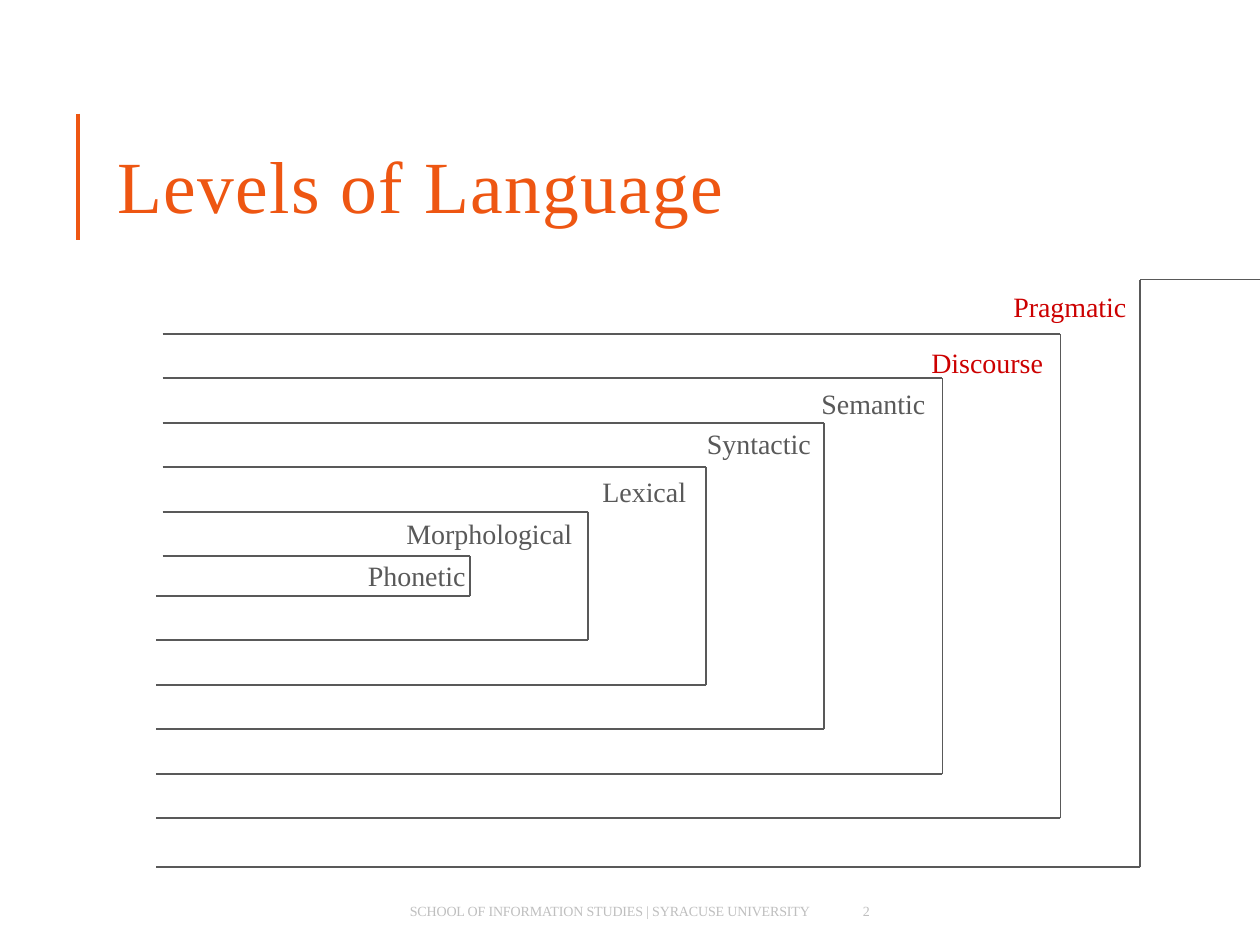
from dataclasses import dataclass
from lxml.etree import SubElement
from pptx import Presentation
from pptx.dml.color import RGBColor
from pptx.enum.text import MSO_ANCHOR, PP_ALIGN
from pptx.oxml.ns import qn
from pptx.util import Pt


@dataclass(frozen=True)
class Theme:
    font: str = "Times New Roman"
    orange: str = "EE5612"
    red: str = "CC0000"
    dark: str = "595959"
    pale: str = "BFBFBF"
    head: float = 42
    label: float = 16
    small: float = 8


theme = Theme()

title = "Levels of Language"
levels = [
    {"text": "Pragmatic", "color": theme.red, "align": PP_ALIGN.RIGHT},
    {"text": "Discourse", "color": theme.red, "indent": 327, "before": 13.1},
    {"text": "Semantic", "indent": 264.2, "before": 3.8},
    {"text": "Syntactic", "indent": 198.7, "before": 4},
    {"text": "Lexical", "indent": 139, "before": 8.2},
    {"text": "Morphological", "indent": 27, "before": 0.3, "leading": 23.7},
    {"text": "Phonetic", "indent": 5, "leading": 23.7},
]
footer = "SCHOOL OF INFORMATION STUDIES | SYRACUSE UNIVERSITY"
number = "2"

wide, high = 720, 540
left, foot = 93, 89
right, top, base = 606, 190.8, 467.5
step, drop = 67.5, 25.4
edge, roof, floor = 651.6, 159.8, 495.4

deck = Presentation()
deck.slide_width, deck.slide_height = Pt(wide), Pt(high)
slide = deck.slides.add_slide(deck.slide_layouts[5])


def write(para, text, size=theme.label, color=theme.dark, align=PP_ALIGN.LEFT,
          indent=0, before=0, leading=None, track=0):
    para.alignment = align
    para.space_before = Pt(before)
    if leading:
        para.line_spacing = Pt(leading)
    props = para._p.get_or_add_pPr()
    props.set("marL", str(Pt(indent)))
    props.set("indent", "0")
    run = para.add_run()
    run.text = text
    run.font.name = theme.font
    run.font.size = Pt(size)
    run.font.color.rgb = RGBColor.from_string(color)
    if track:
        run._r.get_or_add_rPr().set("spc", str(round(track * 100)))


def place(shape, x, y, w, h, inset=0, anchor=MSO_ANCHOR.TOP):
    shape.left, shape.top, shape.width, shape.height = Pt(x), Pt(y), Pt(w), Pt(h)
    frame = shape.text_frame
    frame.word_wrap = True
    frame.vertical_anchor = anchor
    frame.margin_left = frame.margin_right = frame.margin_bottom = 0
    frame.margin_top = Pt(inset)
    return frame


def box(*area, inset=0):
    return place(slide.shapes.add_textbox(0, 0, 0, 0), *area, inset=inset)


def rule(x1, y1, x2, y2, color=theme.dark, width=1):
    line = slide.shapes.add_connector(1, Pt(x1), Pt(y1), Pt(x2), Pt(y2))
    line.line.color.rgb = RGBColor.from_string(color)
    line.line.width = Pt(width)
    SubElement(line._element.spPr, qn("a:effectLst"))


rule(44.6, 65, 44.6, 137, color=theme.orange, width=2)
head = place(slide.shapes.title, 67, 77.8, 353, 52.6, anchor=MSO_ANCHOR.BOTTOM)
write(head.paragraphs[0], title, size=theme.head, color=theme.orange, track=0.8)

for i in range(len(levels) - 1):
    x, y, end = right - i * step, top + i * drop, base - i * drop
    rule(left, y, x, y)
    rule(x, y, x, end)
    rule(x, end, foot, end)

rule(edge, roof, wide, roof)
rule(edge, roof, edge, floor)
rule(edge, floor, foot, floor)

frame = box(205.2, 163.4, 438.5, 174.2, inset=2)
for i, level in enumerate(levels):
    write(frame.add_paragraph() if i else frame.paragraphs[0], **level)

note = {"size": theme.small, "color": theme.pale}
write(box(233.5, 515.5, 236.5, 11).paragraphs[0], footer, indent=0.7, track=-0.1, **note)
write(box(490.3, 515.5, 13.7, 11).paragraphs[0], number, indent=2.8, **note)

deck.save("out.pptx")
